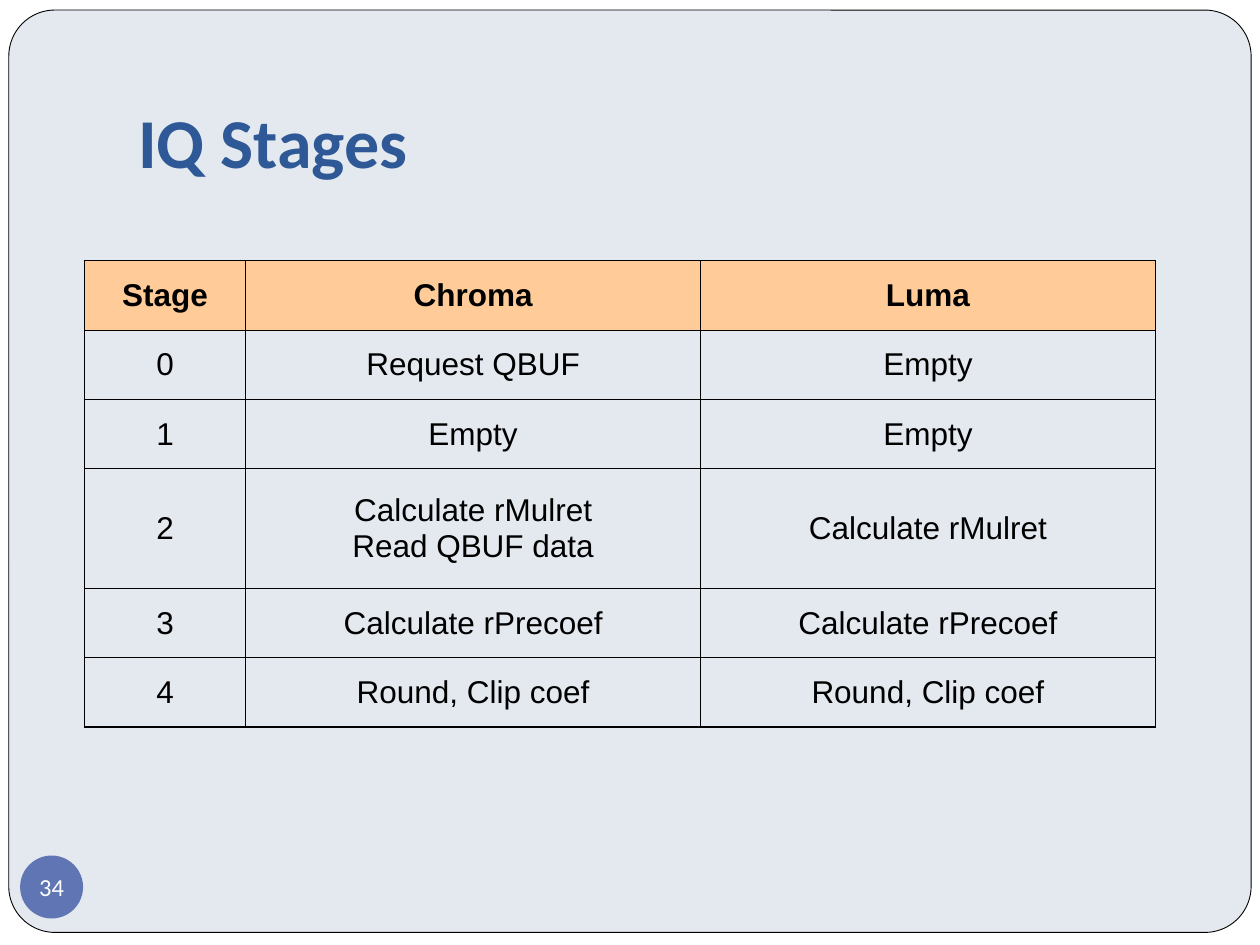
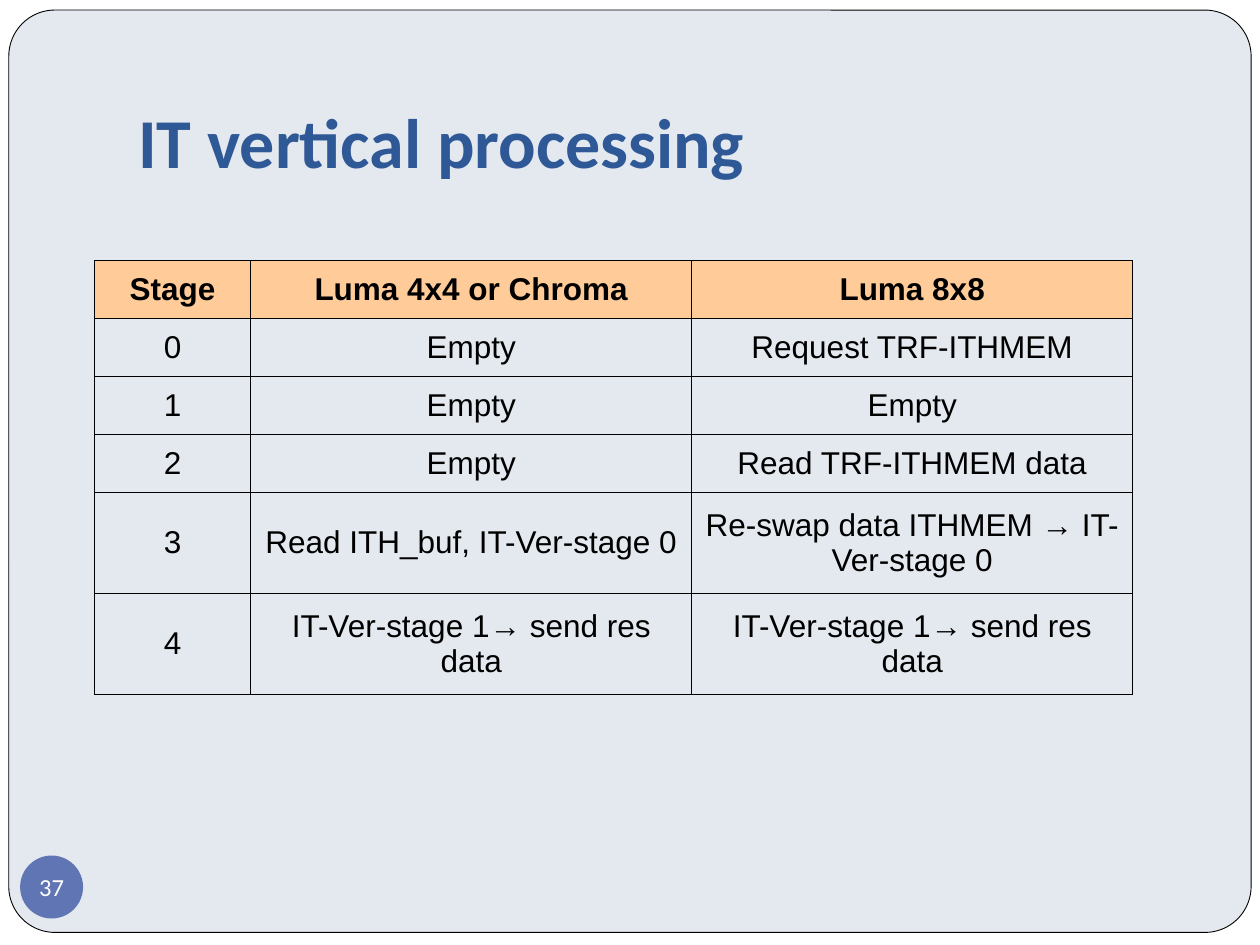
from lxml.etree import SubElement
from pptx import Presentation
from pptx.dml.color import RGBColor
from pptx.enum.shapes import MSO_SHAPE as Shape
from pptx.enum.text import MSO_ANCHOR as Anchor, PP_ALIGN as Align
from pptx.oxml.ns import qn
from pptx.util import Inches, Pt

COLORS = {
    "paper": "FFFFFF",
    "panel": "E4E9EF",
    "title": "2F5897",
    "badge": "6076B4",
    "badge_text": "FFFFFF",
    "header": "FFCC99",
    "ink": "000000",
}
HEADING_FONT, TABLE_FONT = "Calibri", "Arial"
TABLE_TOP = 2.07
BORDER_WIDTH = 0.75

STAGE_SLIDES = [
    {
        "title": "IQ Stages",
        "number": "34",
        "left": 0.67,
        "columns": [1.28, 3.61, 3.61],
        "row_heights": [0.55, 0.55, 0.55, 0.95, 0.55, 0.55],
        "rows": [
            ("Stage", "Chroma", "Luma"),
            ("0", "Request QBUF", "Empty"),
            ("1", "Empty", "Empty"),
            ("2", "Calculate rMulret\vRead QBUF data", "Calculate rMulret"),
            ("3", "Calculate rPrecoef", "Calculate rPrecoef"),
            ("4", "Round, Clip coef", "Round, Clip coef"),
        ],
    },
    {
        "title": "IT vertical processing",
        "number": "37",
        "left": 0.75,
        "columns": [1.24, 3.5, 3.5],
        "row_heights": [0.46, 0.46, 0.46, 0.46, 0.8, 0.8],
        "rows": [
            ("Stage", "Luma 4x4 or Chroma", "Luma 8x8"),
            ("0", "Empty", "Request TRF-ITHMEM"),
            ("1", "Empty", "Empty"),
            ("2", "Empty", "Read TRF-ITHMEM data"),
            ("3", "Read ITH_buf, IT-Ver-stage 0",
             "Re-swap data ITHMEM → IT-Ver-stage 0"),
            ("4", "IT-Ver-stage 1→ send res data",
             "IT-Ver-stage 1→ send res data"),
        ],
    },
]


def rgb(name):
    return RGBColor.from_string(COLORS[name])


def write(frame, text, font_name, size, color, bold=False, align=Align.LEFT):
    paragraph = frame.paragraphs[0]
    paragraph.text = text
    paragraph.alignment = align
    font = paragraph.font
    font.name, font.size, font.bold = font_name, Pt(size), bold
    font.color.rgb = rgb(color)


def set_insets(frame, left, top, right, bottom):
    frame.margin_left, frame.margin_top = Inches(left), Inches(top)
    frame.margin_right, frame.margin_bottom = Inches(right), Inches(bottom)


def add_flat_shape(slide, kind, box, fill):
    """Add a filled preset shape with no shadow and no outline."""
    shape = slide.shapes.add_shape(kind, *map(Inches, box))
    shape.shadow.inherit = False
    shape.fill.solid()
    shape.fill.fore_color.rgb = rgb(fill)
    shape.line.fill.background()
    return shape


def add_frame(slide):
    """Draw the page background and its rounded panel."""
    slide.background.fill.solid()
    slide.background.fill.fore_color.rgb = rgb("panel")
    add_flat_shape(slide, Shape.RECTANGLE, (0, 0, 10, 7.5), "paper")
    panel = add_flat_shape(
        slide, Shape.ROUNDED_RECTANGLE, (0.07, 0.08, 9.86, 7.32), "panel")
    panel.adjustments[0] = 0.05
    panel.line.color.rgb = rgb("ink")
    panel.line.width = Pt(0.5)


def add_title(slide, text):
    frame = slide.shapes.add_textbox(
        *map(Inches, (1, 0.3, 8.5, 1.25))).text_frame
    frame.word_wrap = True
    frame.vertical_anchor = Anchor.BOTTOM
    set_insets(frame, 0.1, 0.05, 0.1, 0.1)
    write(frame, text, HEADING_FONT, 40, "title", bold=True)


def add_page_number(slide, number):
    badge = add_flat_shape(slide, Shape.OVAL, (0.16, 6.79, 0.5, 0.5), "badge")
    frame = badge.text_frame
    frame.word_wrap = False
    frame.vertical_anchor = Anchor.MIDDLE
    set_insets(frame, 0, 0, 0, 0)
    write(frame, number, HEADING_FONT, 14, "badge_text", align=Align.CENTER)


def add_borders(cell):
    properties = cell._tc.get_or_add_tcPr()
    for position, side in enumerate(("a:lnL", "a:lnR", "a:lnT", "a:lnB")):
        line = SubElement(properties, qn(side), w=str(Pt(BORDER_WIDTH)))
        fill = SubElement(line, qn("a:solidFill"))
        SubElement(fill, qn("a:srgbClr"), val=COLORS["ink"])
        properties.insert(position, line)


def add_stage_table(slide, content):
    rows, columns = content["rows"], content["columns"]
    heights = content["row_heights"]
    table = slide.shapes.add_table(
        len(rows), len(columns), Inches(content["left"]), Inches(TABLE_TOP),
        Inches(sum(columns)), Inches(sum(heights))).table
    table.first_row = table.horz_banding = False
    for column, width in zip(table.columns, columns):
        column.width = Inches(width)
    for row, height in zip(table.rows, heights):
        row.height = Inches(height)

    for r, row in enumerate(rows):
        is_header = r == 0
        for c, text in enumerate(row):
            cell = table.cell(r, c)
            cell.vertical_anchor = Anchor.MIDDLE
            if is_header:
                cell.fill.solid()
                cell.fill.fore_color.rgb = rgb("header")
            else:
                cell.fill.background()
            add_borders(cell)
            write(cell.text_frame, text, TABLE_FONT, 18, "ink",
                  bold=is_header, align=Align.CENTER)


def main():
    deck = Presentation()
    deck.slide_width, deck.slide_height = Inches(10), Inches(7.5)
    blank = deck.slide_layouts[6]
    for content in STAGE_SLIDES:
        slide = deck.slides.add_slide(blank)
        add_frame(slide)
        add_title(slide, content["title"])
        add_page_number(slide, content["number"])
        add_stage_table(slide, content)
    deck.save("out.pptx")


if __name__ == "__main__":
    main()
